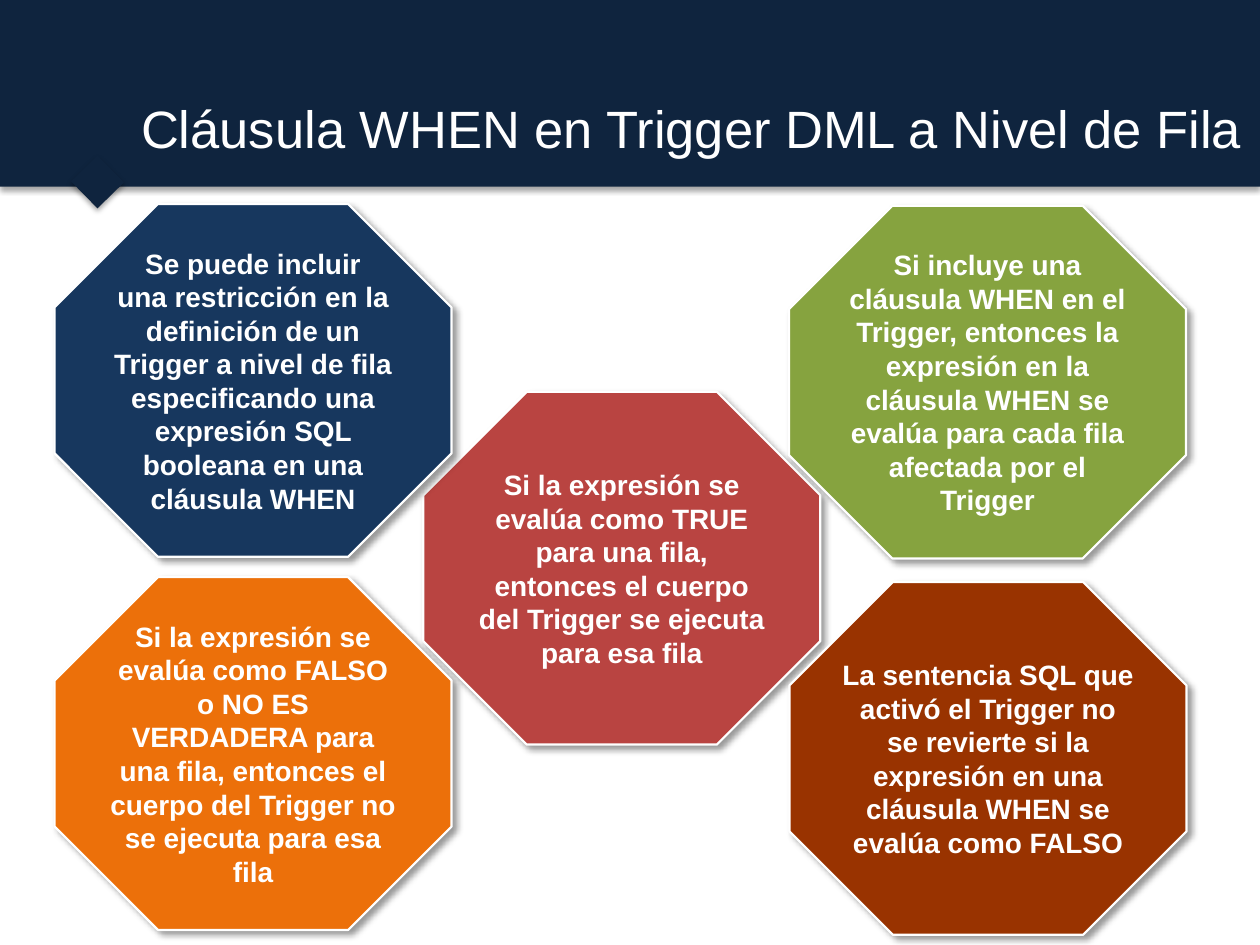
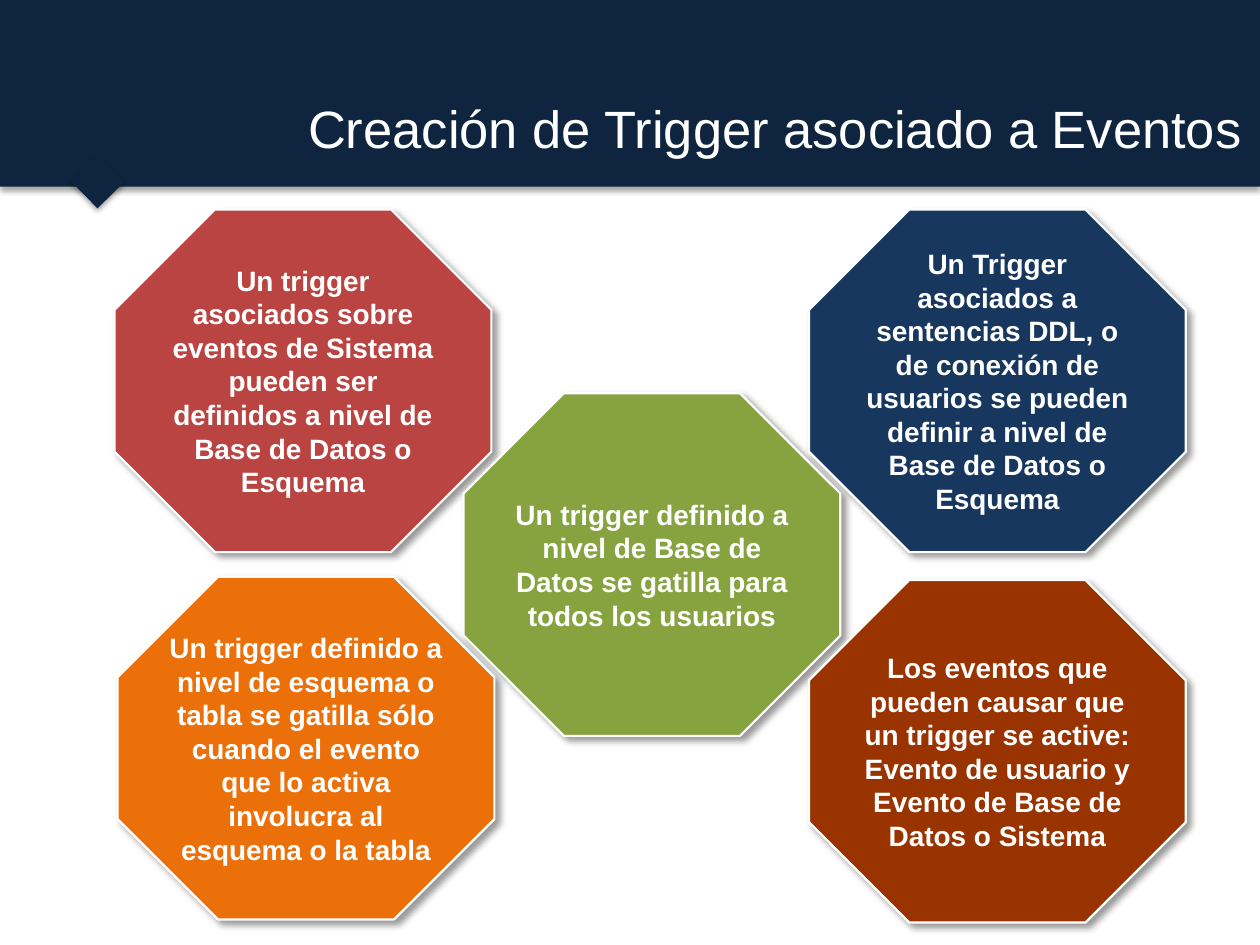
from lxml.etree import SubElement
from pptx import Presentation
from pptx.dml.color import RGBColor
from pptx.enum.shapes import MSO_SHAPE as SHAPE
from pptx.enum.text import MSO_ANCHOR as ANCHOR, PP_ALIGN as ALIGN
from pptx.oxml.ns import qn
from pptx.util import Pt

FONT = "Arial"
WHITE, NAVY = "FFFFFF", "0F243E"
RED, GREEN, BLUE, ORANGE, RUST = "B94441", "86A33F", "17375E", "EC700A", "993300"
BAND_SHADOW = dict(alpha=35, blur=3.1, dist=1.8, angle=90)
CARD_SHADOW = dict(alpha=40, blur=4, dist=3, angle=45)
HEADER_BOX = (0, 0, 720, 106.6)
TITLE_BOX = (25.2, 15.1, 691.6, 115.2)

SLIDES = [
    ("Cláusula WHEN en Trigger DML a Nivel de Fila", (226.8, 201.6), [
        (241.9, 223.9, RED, ["Si la expresión se evalúa como TRUE para una fila, entonces "
                             "el cuerpo del Trigger se ejecuta para esa fila"]),
        (450.9, 117.6, GREEN, ["Si incluye una cláusula WHEN en el Trigger, entonces la "
                               "expresión en la cláusula WHEN se evalúa para cada fila "
                               "afectada por el Trigger"]),
        (31.2, 116.6, BLUE, ["Se puede incluir",
                             "una restricción en la definición de un Trigger a nivel de "
                             "fila especificando una expresión SQL booleana en una "
                             "cláusula WHEN"]),
        (31.2, 329.8, ORANGE, ["Si la expresión se evalúa como FALSO o NO ES VERDADERA para "
                               "una fila, entonces el cuerpo del Trigger no se ejecuta para "
                               "esa fila"]),
        (451.2, 332.6, RUST, ["La sentencia SQL que activó el Trigger no se revierte si la "
                              "expresión en una cláusula WHEN se evalúa como FALSO"]),
    ]),
    ("Creación de Trigger asociado a Eventos", (215.3, 195.8), [
        (65.5, 119.7, RED, ["Un trigger asociados sobre eventos de Sistema pueden ser "
                            "definidos a nivel de Base de Datos o Esquema"]),
        (264.9, 224.7, GREEN, ["Un trigger definido a nivel de Base de Datos se gatilla para "
                               "todos los usuarios"]),
        (462.3, 119.7, BLUE, ["Un Trigger asociados a sentencias DDL, o de conexión de "
                              "usuarios se pueden definir a nivel de Base de Datos o "
                              "Esquema"]),
        (67.2, 329.6, ORANGE, ["Un trigger definido a nivel de esquema o tabla se gatilla "
                               "sólo cuando el evento que lo activa involucra al esquema o "
                               "la tabla"]),
        (462.3, 331.4, RUST, ["Los eventos que pueden causar que un trigger se active: "
                              "Evento de usuario y Evento de Base de Datos o Sistema"]),
    ]),
]


def rgb(value):
    return RGBColor.from_string(value)


def add_shadow(sp, alpha, blur, dist, angle):
    sp.shadow.inherit = False
    effects = sp._element.spPr.find(qn("a:effectLst"))
    shadow = SubElement(effects, qn("a:outerShdw"), blurRad=str(Pt(blur)),
                        dist=str(Pt(dist)), dir=str(angle * 60000),
                        algn="ctr", rotWithShape="0")
    color = SubElement(shadow, qn("a:srgbClr"), val="000000")
    SubElement(color, qn("a:alpha"), val=str(alpha * 1000))


def add_filled(s, kind, box, fill, shadow):
    sp = s.shapes.add_shape(kind, *map(Pt, box))
    sp.fill.solid()
    sp.fill.fore_color.rgb = rgb(fill)
    sp.line.fill.background()
    add_shadow(sp, **shadow)
    return sp


def write(tf, lines, size, align, bold=False):
    tf.word_wrap = True
    tf.vertical_anchor = ANCHOR.MIDDLE
    for i, line in enumerate(lines):
        p = tf.add_paragraph() if i else tf.paragraphs[0]
        p.alignment = align
        r = p.add_run()
        r.text = line
        r.font.name = FONT
        r.font.size = Pt(size)
        r.font.bold = bold
        r.font.color.rgb = rgb(WHITE)


def add_header(s, box, title):
    left, top, width, height = box
    add_filled(s, SHAPE.RECTANGLE, box, NAVY, BAND_SHADOW)
    pointer = add_filled(s, SHAPE.RECTANGLE,
                         (left + 44.9, top + height - 13.2, 21.6, 21.2), NAVY, BAND_SHADOW)
    pointer.rotation = 45.6
    tb = s.shapes.add_textbox(*map(Pt, TITLE_BOX))
    write(tb.text_frame, [title], 30, ALIGN.RIGHT)


def add_card(s, box, fill, lines):
    sp = add_filled(s, SHAPE.OCTAGON, box, fill, CARD_SHADOW)
    sp.line.color.rgb = rgb(WHITE)
    sp.line.width = Pt(1.25)
    tf = sp.text_frame
    tf.margin_left = tf.margin_right = tf.margin_top = tf.margin_bottom = 0
    write(tf, lines, 16, ALIGN.CENTER, bold=True)


def add_card_slide(prs, title, card_size, cards):
    s = prs.slides.add_slide(prs.slide_layouts[6])
    add_header(s, HEADER_BOX, title)
    for left, top, fill, lines in cards:
        add_card(s, (left, top, *card_size), fill, lines)


def main():
    prs = Presentation()
    prs.slide_width, prs.slide_height = Pt(720), Pt(540)
    for title, card_size, cards in SLIDES:
        add_card_slide(prs, title, card_size, cards)
    prs.save("out.pptx")


if __name__ == "__main__":
    main()
